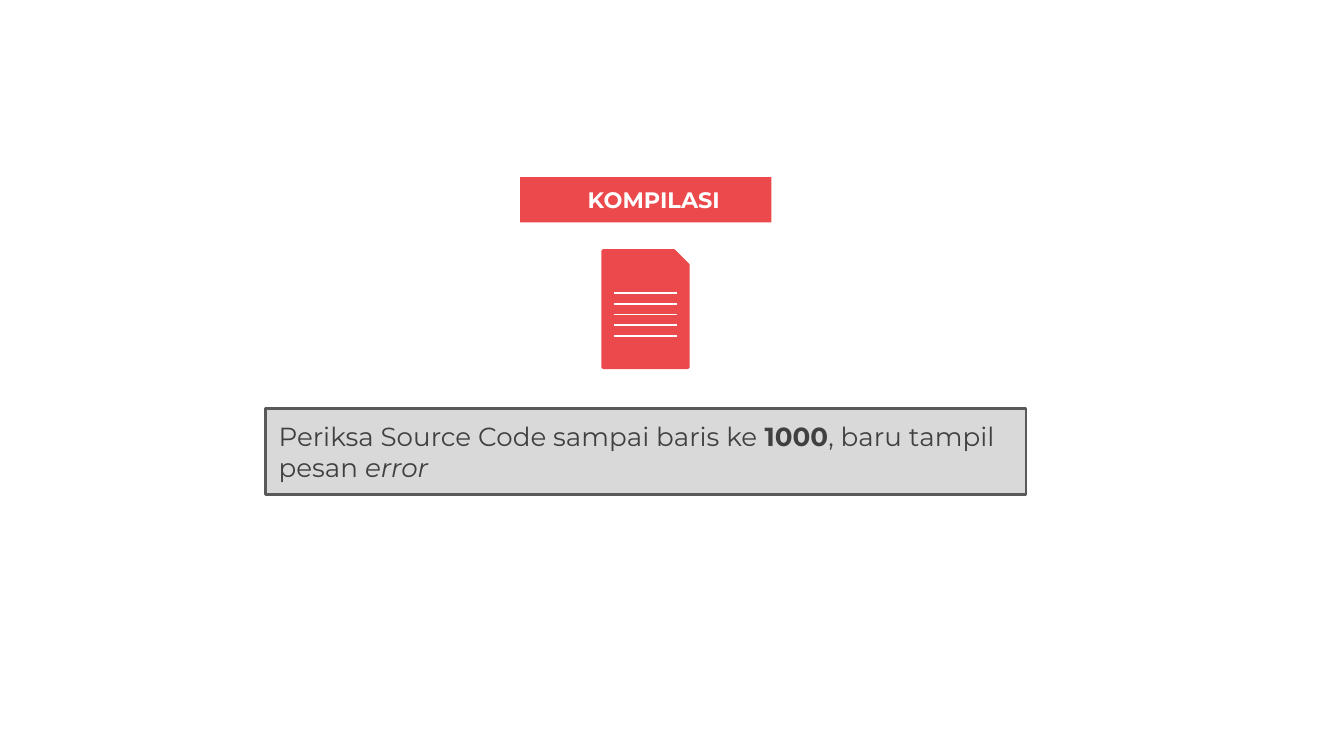
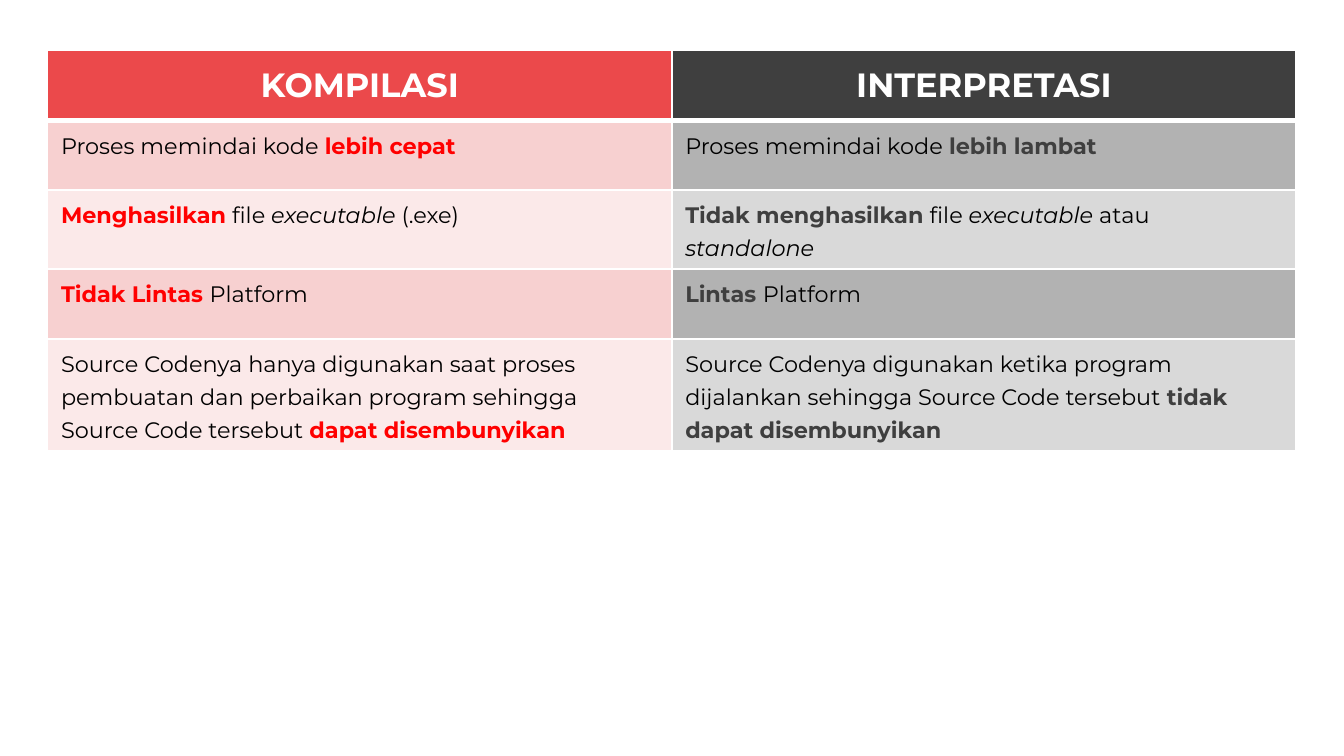
import pptx
import pptx.util
import pptx.dml.color
import pptx.enum.shapes
import pptx.enum.text
import lxml.etree

RED, DARK, WHITE, BLACK = "EB494B", "3F3F3F", "FFFFFF", "000000"
FONT = "Montserrat"
Pt = pptx.util.Pt
Align, Anchor = pptx.enum.text.PP_ALIGN, pptx.enum.text.MSO_ANCHOR
Shape = pptx.enum.shapes.MSO_SHAPE
DRAWING = "{http://schemas.openxmlformats.org/drawingml/2006/main}"


def color(value):
    return pptx.dml.color.RGBColor.from_string(value)


def write(frame, lines, size, ink, accent, align=Align.LEFT, spacing=None):
    for index, line in enumerate(lines):
        paragraph = frame.paragraphs[0] if index == 0 else frame.add_paragraph()
        paragraph.alignment = align
        paragraph.line_spacing = spacing
        paragraph.font.name = FONT
        paragraph.font.size = Pt(size)
        for text, style in line:
            run = paragraph.add_run()
            run.text = text
            run.font.bold = style == "bold"
            run.font.italic = style == "italic"
            run.font.color.rgb = color(accent if style == "bold" else ink)


presentation = pptx.Presentation()
presentation.slide_width = pptx.util.Inches(10)
presentation.slide_height = presentation.slide_width * 9 // 16
blank = presentation.slide_layouts[6]
across = presentation.slide_width // 100
down = presentation.slide_height // 100

slide = presentation.slides.add_slide(blank)
icon = slide.shapes.add_group_shape()
boxes = []
for shapes, kind, (left, top, width, height), fill, line, weight in [
    (slide.shapes, Shape.RECTANGLE, (38.7, 23.42, 18.7, 6), RED, None, 0),
    (icon.shapes, Shape.SNIP_1_RECTANGLE, (44.88, 33.2, 6.3, 15.4), RED, RED, 2),
    (slide.shapes, Shape.RECTANGLE, (19.75, 54.05, 56.6, 11.38), "D9D9D9", "595959", 1.5),
]:
    shape = shapes.add_shape(
        kind, int(left * across), int(top * down), int(width * across), int(height * down))
    shape.shadow.inherit = False
    shape.fill.solid()
    shape.fill.fore_color.rgb = color(fill)
    if line:
        shape.line.color.rgb = color(line)
        shape.line.width = Pt(weight)
    else:
        shape.line.fill.background()
    boxes.append(shape)
heading, page, message = boxes

for row in range(5):
    top = int((38.76 + 1.42 * row) * down)
    rule = icon.shapes.add_connector(
        pptx.enum.shapes.MSO_CONNECTOR.STRAIGHT,
        int(45.7 * across), top, int(50.4 * across), top)
    rule.line.color.rgb = color(WHITE)
    rule.line.width = Pt(1)
    lxml.etree.SubElement(rule._element.spPr, DRAWING + "effectLst")

write(heading.text_frame, [[("KOMPILASI", "bold")]], 12, WHITE, WHITE, Align.CENTER)
heading.text_frame.paragraphs[0]._p.get_or_add_pPr().set("marL", str(int(1.2 * across)))
write(message.text_frame, [[
    ("Periksa Source Code sampai baris ke ", ""), ("1000", "bold"),
    (", baru tampil pesan ", ""), ("error", "italic"),
]], 14, "404040", "404040")
message.text_frame.paragraphs[0].space_after = Pt(6)

slide = presentation.slides.add_slide(blank)
columns = [
    ("KOMPILASI", RED, "FF0000", ("F7D0D0", "FBE9E9"), [
        [[("Proses memindai kode ", ""), ("lebih cepat", "bold")]],
        [[("Menghasilkan", "bold"), (" file ", ""), ("executable", "italic"), (" (.exe)", "")]],
        [[("Tidak Lintas ", "bold"), ("Platform", "")]],
        [[("Source Codenya hanya digunakan saat proses ", "")],
         [("pembuatan dan perbaikan program sehingga ", "")],
         [("Source Code tersebut ", ""), ("dapat disembunyikan", "bold")]],
    ]),
    ("INTERPRETASI", DARK, DARK, ("B2B2B2", "D9D9D9"), [
        [[("Proses memindai kode ", ""), ("lebih lambat", "bold")]],
        [[("Tidak menghasilkan", "bold"), (" file ", ""), ("executable ", "italic"), ("atau ", "")],
         [("standalone", "italic")]],
        [[("Lintas ", "bold"), ("Platform", "")]],
        [[("Source Codenya digunakan ketika program ", "")],
         [("dijalankan sehingga Source Code tersebut ", ""), ("tidak ", "bold")],
         [("dapat disembunyikan", "bold")]],
    ]),
]
row_count = 5
table = slide.shapes.add_table(
    row_count, len(columns), int(3.54 * across), int(6.65 * down),
    int(9.29 * 10 * across), int(9.24 * row_count * down)).table
table.first_row = False
table.horz_banding = False

for column, (title, title_fill, accent, bands, entries) in enumerate(columns):
    for row in range(row_count):
        cell = table.cell(row, column)
        properties = cell._tc.get_or_add_tcPr()
        for side in "LRTB":
            heavy = (row, side) in [(0, "B"), (1, "T")]
            border = lxml.etree.SubElement(
                properties, DRAWING + "ln" + side, w=str(Pt(3 if heavy else 1)))
            solid = lxml.etree.SubElement(border, DRAWING + "solidFill")
            lxml.etree.SubElement(solid, DRAWING + "srgbClr", val=WHITE)
        cell.fill.solid()
        if row == 0:
            cell.fill.fore_color.rgb = color(title_fill)
            cell.vertical_anchor = Anchor.MIDDLE
            write(cell.text_frame, [[(title, "bold")]], 18, WHITE, WHITE, Align.CENTER)
        else:
            cell.fill.fore_color.rgb = color(bands[(row - 1) % 2])
            write(cell.text_frame, entries[row - 1], 12, BLACK, accent, spacing=1.2)

presentation.save("out.pptx")
